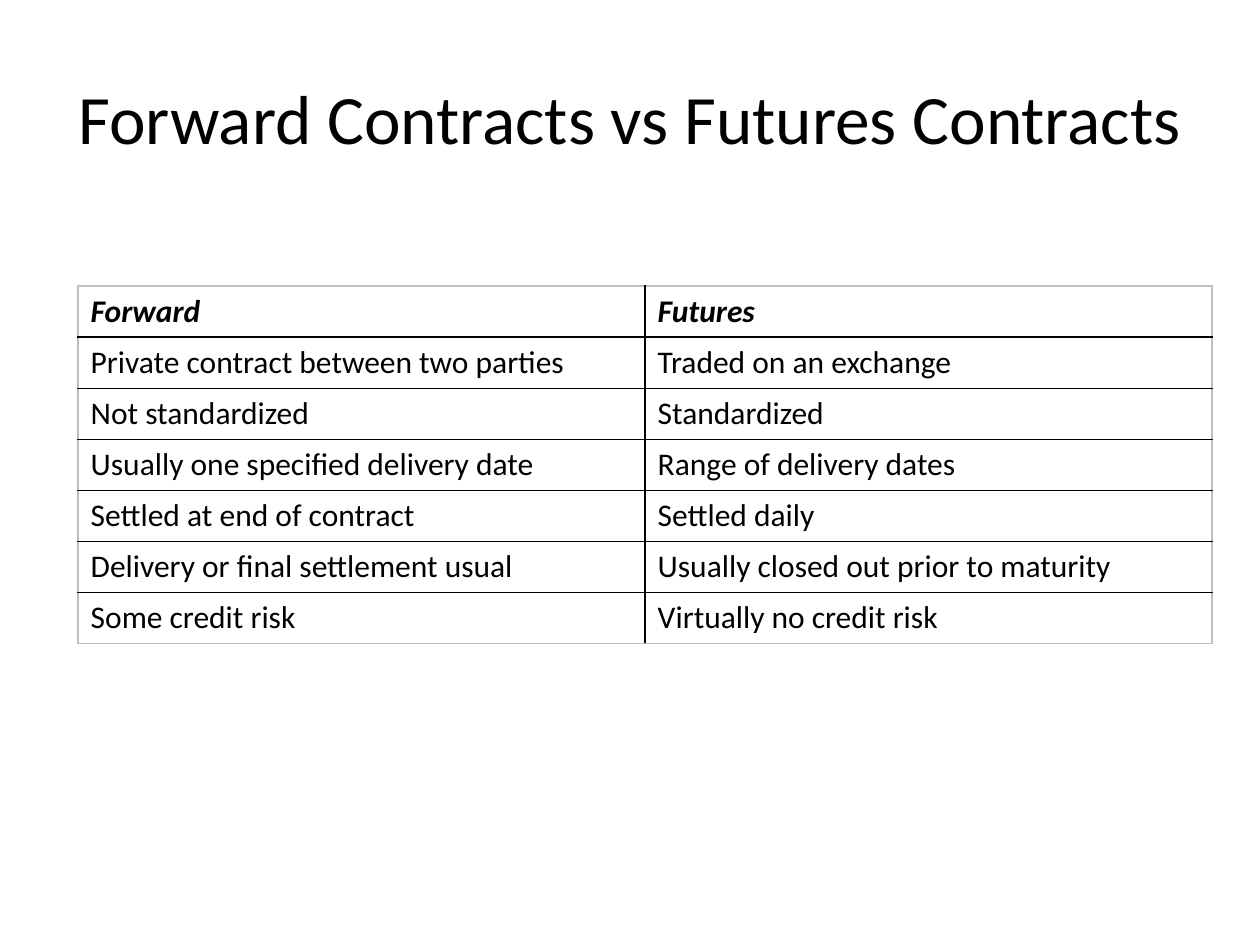
import pptx
import pptx.util
import pptx.dml.color
import pptx.enum.text
import lxml.etree
from pptx.oxml.ns import qn

Inches = pptx.util.Inches
TITLE = "Forward Contracts vs Futures Contracts"
ROWS = [
    ("Forward", "Futures"),
    ("Private contract between two parties", "Traded on an exchange"),
    ("Not standardized", "Standardized"),
    ("Usually one specified delivery date", "Range of delivery dates"),
    ("Settled at end of contract", "Settled daily"),
    ("Delivery or final settlement usual", "Usually closed out prior to maturity"),
    ("Some credit risk", "Virtually no credit risk"),
]
COLORS = {"ink": "000000", "edge": "BFBFBF"}
TEXT = {"name": "Calibri", "size": pptx.util.Pt(18), "bold": False, "italic": False}
HEAD = {**TEXT, "bold": True, "italic": True}
BIG = {**TEXT, "size": pptx.util.Pt(39.6)}


def write(frame, text, style):
    para = frame.paragraphs[0]
    run = para.add_run()
    run.text = text
    for key, value in style.items():
        setattr(run.font, key, value)
    run.font.color.rgb = pptx.dml.color.RGBColor.from_string(COLORS["ink"])
    return para


def border(cell, sides):
    props = cell._tc.get_or_add_tcPr()
    for spot, (side, (color, width)) in enumerate(sides.items()):
        line = lxml.etree.Element(qn("a:" + side), w=str(pptx.util.Pt(width)))
        fill = lxml.etree.SubElement(line, qn("a:solidFill"))
        lxml.etree.SubElement(fill, qn("a:srgbClr"), val=COLORS[color])
        props.insert(spot, line)


def main():
    deck = pptx.Presentation()
    deck.slide_width, deck.slide_height = Inches(10), Inches(7.5)
    slide = deck.slides.add_slide(deck.slide_layouts[6])

    title = slide.shapes.add_textbox(Inches(0.5), Inches(0.3), Inches(9), Inches(1.25))
    frame = title.text_frame
    frame.word_wrap = True
    frame.vertical_anchor = pptx.enum.text.MSO_ANCHOR.MIDDLE
    write(frame, TITLE, BIG).alignment = pptx.enum.text.PP_ALIGN.CENTER

    count, wide = len(ROWS), len(ROWS[0])
    table = slide.shapes.add_table(
        count, wide, Inches(0.62), Inches(2.27), Inches(9), Inches(2.84)
    ).table
    table.first_row = table.horz_banding = False
    edge, thick, thin = ("edge", 1), ("ink", 1), ("ink", 0.75)
    rules = [edge, thick] + [thin] * (count - 2) + [edge]
    posts = [edge] + [thick] * (wide - 1) + [edge]
    for r, row in enumerate(ROWS):
        for c, text in enumerate(row):
            cell = table.cell(r, c)
            cell.fill.background()
            write(cell.text_frame, text, TEXT if r else HEAD)
            border(cell, {
                "lnL": posts[c], "lnR": posts[c + 1],
                "lnT": rules[r], "lnB": rules[r + 1],
            })

    deck.save("out.pptx")


if __name__ == "__main__":
    main()
